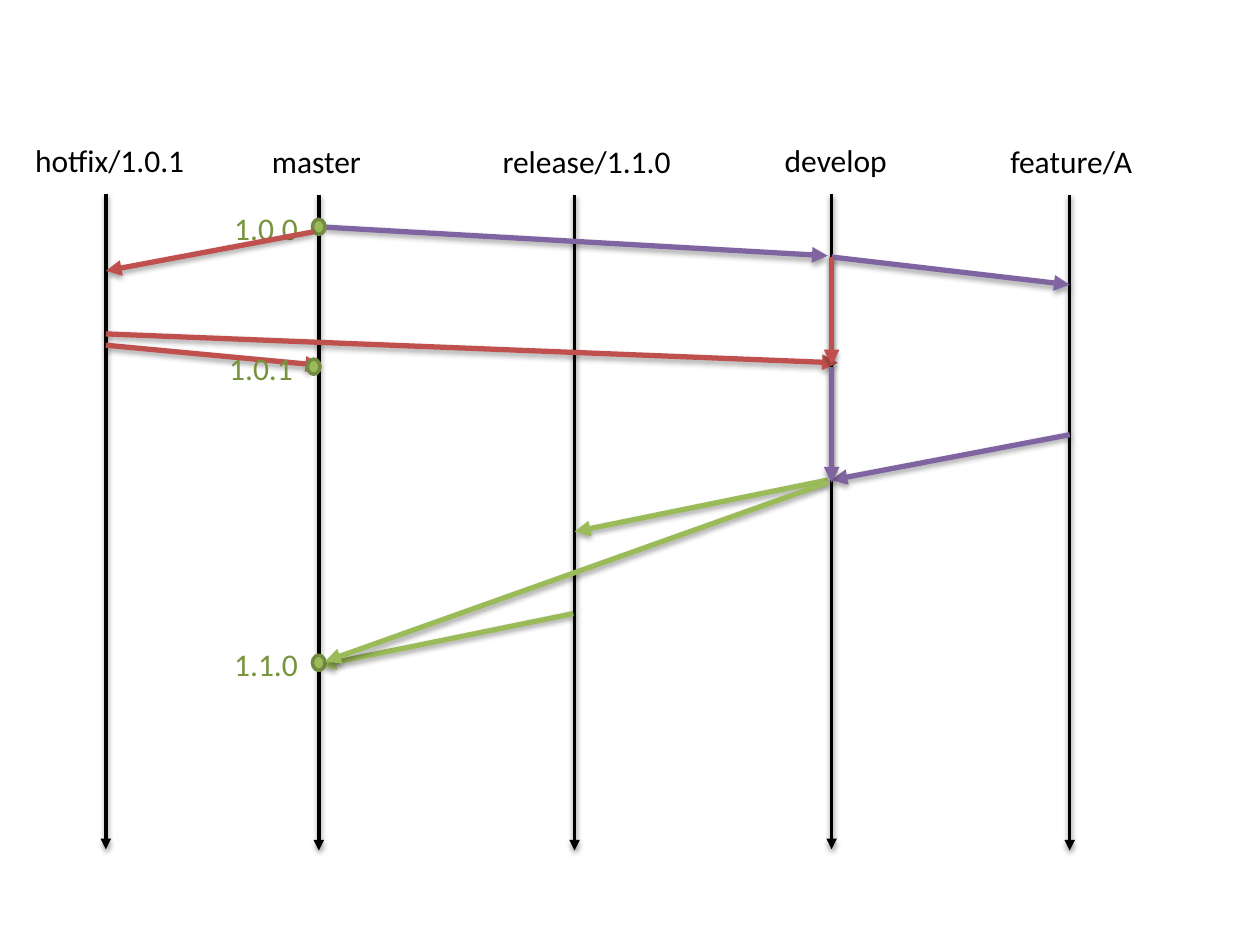
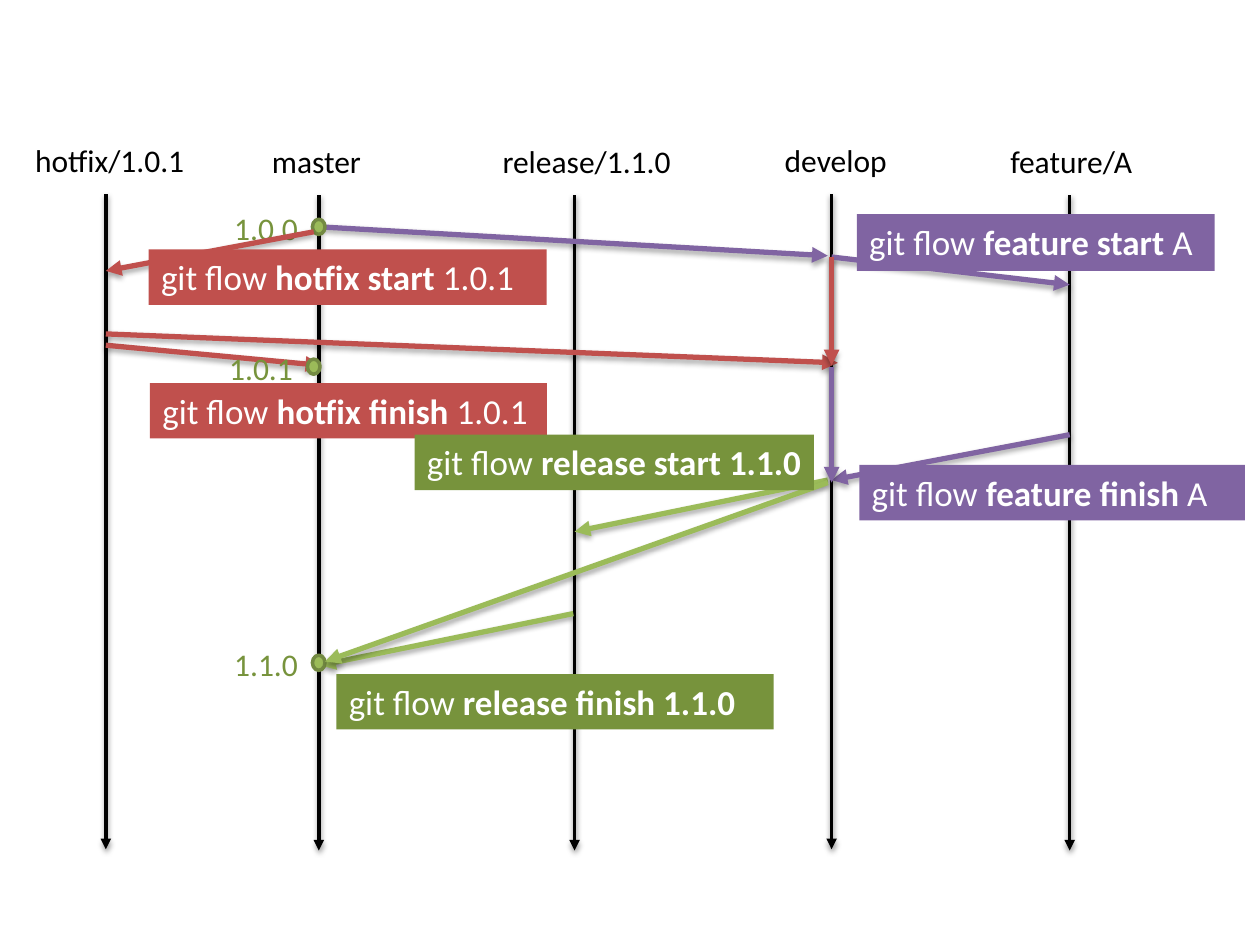
from dataclasses import dataclass

from lxml import etree
from pptx import Presentation
from pptx.dml.color import RGBColor
from pptx.enum.shapes import MSO_CONNECTOR, MSO_SHAPE
from pptx.enum.text import MSO_AUTO_SIZE
from pptx.oxml.ns import qn
from pptx.util import Emu, Pt

STRAIGHT = MSO_CONNECTOR.STRAIGHT
OVAL = MSO_SHAPE.OVAL
GROW = MSO_AUTO_SIZE.SHAPE_TO_FIT_TEXT
PX = 9144  # EMU per px, 100 px to the inch


@dataclass(frozen=True)
class Theme:
    font: str = "Calibri"
    label_size: int = 18
    command_size: int = 20
    axis_width: int = 2
    flow_width: int = 3
    black: str = "000000"
    white: str = "FFFFFF"
    feature: str = "8064A2"
    hotfix: str = "C0504D"
    release: str = "9BBB59"
    release_dark: str = "77933C"
    dot_line: str = "738A42"


@dataclass(frozen=True)
class Box:
    left: int
    top: int
    width: int
    height: int

    def inner(self, left, top, width, height):
        return Box(self.left + left, self.top + top, width, height)

    def emu(self):
        return [px(n) for n in (self.left, self.top, self.width, self.height)]


THEME = Theme()
PAGE_SIZE = (1000, 750)
DIAGRAM = Box(0, 100, 1000, 600)

# Branch name, label box, axis x
LANES = [
    ("master", (206, 8, 110, 40), 253),
    ("develop", (613, 7, 110, 40), 660),
    ("feature/A", (792, 8, 134, 71), 849),
    ("release/1.1.0", (389, 8, 155, 71), 456),
    ("hotfix/1.0.1", (18, 7, 155, 40), 84),
]

# Back to front: a flow is (colour, start, end), a version is (name, left, top)
HISTORY = [
    (THEME.feature, (253, 80), (657, 103)),
    ("1.0.0", 176, 61),
    (THEME.feature, (660, 104), (849, 126)),
    (THEME.feature, (849, 245), (660, 281)),
    (THEME.hotfix, (249, 84), (84, 115)),
    (THEME.hotfix, (84, 174), (255, 190)),
    (THEME.hotfix, (84, 165), (665, 188)),
    ("1.0.1", 172, 172),
    (THEME.release, (657, 281), (456, 322)),
    (THEME.release, (455, 387), (254, 428)),
    ("1.1.0", 176, 407),
    (THEME.hotfix, (660, 104), (660, 190)),
    (THEME.feature, (660, 191), (660, 283)),
    (THEME.release, (657, 283), (258, 425)),
]

# Fill, box, bold words, plain ending
COMMANDS = [
    (THEME.feature, (680, 70, 284, 45), "feature start", " A"),
    (THEME.feature, (682, 269, 306, 44), "feature finish", " A"),
    (THEME.hotfix, (118, 98, 316, 44), "hotfix start", " 1.0.1"),
    (THEME.hotfix, (119, 204, 315, 44), "hotfix finish ", "1.0.1"),
    (THEME.release_dark, (329, 245, 317, 44), "release start 1.1.0", ""),
    (THEME.release_dark, (267, 435, 347, 44), "release finish 1.1.0", ""),
]


def px(length):
    return Emu(length * PX)


def rgb(colour):
    return RGBColor.from_string(colour)


def add_text(shapes, box, spans, size, colour):
    """Add a text box; spans are (text, bold) pairs."""
    text_box = shapes.add_textbox(*box.emu())
    frame = text_box.text_frame
    frame.word_wrap = True
    frame.auto_size = GROW
    para = frame.paragraphs[0]
    for text, bold in spans:
        span = para.add_run()
        span.text = text
        span.font.name = THEME.font
        span.font.size = Pt(size)
        span.font.bold = bold
        span.font.color.rgb = rgb(colour)
    return text_box


def add_arrow(shapes, box, start, end, colour, width, shadow):
    """Add an arrow; shadow is (distance in EMU, opacity in percent)."""
    points = [px(n) for x, y in (start, end) for n in (box.left + x, box.top + y)]
    arrow = shapes.add_connector(STRAIGHT, *points)
    arrow.line.color.rgb = rgb(colour)
    arrow.line.width = Pt(width)
    properties = arrow._element.spPr
    etree.SubElement(properties.find(qn("a:ln")), qn("a:tailEnd"), type="triangle")

    # Soft shadow straight below
    distance, opacity = shadow
    effects = etree.SubElement(properties, qn("a:effectLst"))
    outer = etree.SubElement(effects, qn("a:outerShdw"), blurRad="40000",
                             dist=str(distance), dir="5400000", rotWithShape="0")
    tint = etree.SubElement(outer, qn("a:srgbClr"), val=THEME.black)
    etree.SubElement(tint, qn("a:alpha"), val=str(opacity * 1000))


def add_lane(page, box, name, label, axis_x):
    lane = page.shapes.add_group_shape().shapes
    axis_top = label[1] + 47
    add_arrow(lane, box, (axis_x, axis_top), (axis_x, axis_top + 520),
              THEME.black, THEME.axis_width, (20000, 38))
    add_text(lane, box.inner(*label), [(name, False)], THEME.label_size, THEME.black)


def add_version(page, box, name):
    version = page.shapes.add_group_shape().shapes
    dot = version.add_shape(OVAL, *box.inner(72, 13, 10, 12).emu())
    dot.shadow.inherit = False
    dot.fill.solid()
    dot.fill.fore_color.rgb = rgb(THEME.release)
    dot.line.color.rgb = rgb(THEME.dot_line)
    dot.line.width = Pt(THEME.axis_width)
    add_text(version, box, [(name, False)], THEME.label_size, THEME.release_dark)


def add_command(page, box, fill, action, ending):
    spans = [("git flow ", False), (action, True)]
    if ending:
        spans.append((ending, False))
    command = add_text(page.shapes, box, spans, THEME.command_size, THEME.white)
    command.fill.solid()
    command.fill.fore_color.rgb = rgb(fill)


def add_branch_diagram(page, box):
    for name, label, axis_x in LANES:
        add_lane(page, box, name, label, axis_x)
    for first, second, third in HISTORY:
        if isinstance(second, tuple):
            add_arrow(page.shapes, box, second, third, first,
                      THEME.flow_width, (23000, 35))
        else:
            add_version(page, box.inner(second, third, 72, 40), first)


def add_commands(page, box):
    for fill, place, action, ending in COMMANDS:
        add_command(page, box.inner(*place), fill, action, ending)


def main():
    deck = Presentation()
    deck.slide_width, deck.slide_height = map(px, PAGE_SIZE)
    blank = deck.slide_layouts[6]

    # Branches alone, then with the commands on top
    for with_commands in (False, True):
        page = deck.slides.add_slide(blank)
        add_branch_diagram(page, DIAGRAM)
        if with_commands:
            add_commands(page, DIAGRAM)

    deck.save("out.pptx")


if __name__ == "__main__":
    main()
